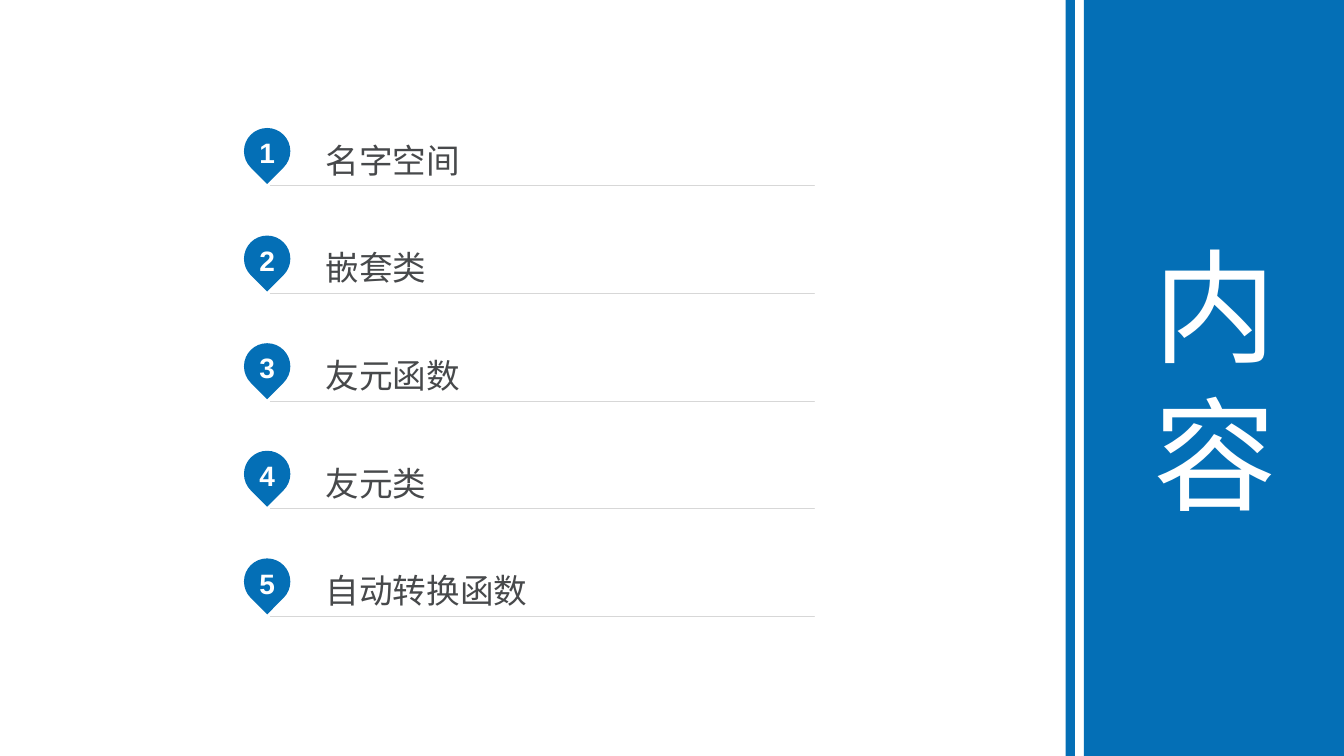
import math

import pptx
import pptx.dml.color
import pptx.enum.shapes
import pptx.enum.text
import pptx.oxml.ns
import pptx.util

Inches = pptx.util.Inches
Pt = pptx.util.Pt
ALIGN = pptx.enum.text.PP_ALIGN
qn = pptx.oxml.ns.qn

COLORS = {"blue": "046FB6", "rule": "D7D7D7", "text": "47494B", "white": "FFFFFF"}
FONT = "Arial"
TOPICS = ["名字空间", "嵌套类", "友元函数", "友元类", "自动转换函数"]


def rgb(name):
    return pptx.dml.color.RGBColor.from_string(COLORS[name])


def paint(shape):
    shape.fill.solid()
    shape.fill.fore_color.rgb = rgb("blue")
    shape.line.fill.background()


def write(shape, text, size, color, align, insets, bold=False):
    frame = shape.text_frame
    frame.word_wrap = True
    frame.auto_size = pptx.enum.text.MSO_AUTO_SIZE.NONE
    frame.vertical_anchor = pptx.enum.text.MSO_ANCHOR.MIDDLE
    left, top, right, bottom = insets
    frame.margin_left, frame.margin_top = Inches(left), Inches(top)
    frame.margin_right, frame.margin_bottom = Inches(right), Inches(bottom)
    para = frame.paragraphs[0]
    para.alignment = align
    run = para.add_run()
    run.text = text
    run.font.name = FONT
    run.font.size = Pt(size)
    run.font.bold = bold
    run.font.color.rgb = rgb(color)
    return para


def arc(start, end):
    """Two handles and the end point of a Bezier arc on the unit circle."""
    a, b = math.radians(start), math.radians(end)
    k = 4 / 3 * math.tan((b - a) / 4)
    return [(math.cos(a) - k * math.sin(a), math.sin(a) + k * math.cos(a)),
            (math.cos(b) + k * math.sin(b), math.sin(b) - k * math.cos(b)),
            (math.cos(b), math.sin(b))]


def bend(shape, starts):
    """Turn three line segments from each start into one curve."""
    lines = list(shape._element.iter(qn("a:lnTo")))
    for start in starts:
        group = lines[start:start + 3]
        curve = group[0].makeelement(qn("a:cubicBezTo"))
        group[0].addprevious(curve)
        for line in group:
            curve.append(line[0])
            line.getparent().remove(line)


def add_pin(slide, left, top, radius, label):
    """Round marker whose lower sides meet in a right-angled tip."""
    side = math.sqrt(0.5)
    right_half = arc(270, 360) + arc(360, 405)
    left_half = arc(135, 180) + arc(180, 270)
    points = right_half + [(0, 2 * side), (-side, side)] + left_half
    outline = slide.shapes.build_freeform(Inches(left + radius), Inches(top))
    outline.add_line_segments(
        [(Inches(left + radius + radius * x), Inches(top + radius + radius * y))
         for x, y in points], close=True)
    pin = outline.convert_to_shape()
    bend(pin, (0, 3, 8, 11))
    pin.shadow.inherit = False
    paint(pin)
    write(pin, label, 20, "white", ALIGN.CENTER, (0.1, 0.05, 0.1, 0.12), bold=True)


def add_topic(slide, left, top, width, height, topic):
    """Topic whose box shows only its bottom edge."""
    x, y = Inches(left), Inches(top)
    right, base = Inches(left + width), Inches(top + height)
    outline = slide.shapes.build_freeform(x, base)
    outline.add_line_segments([(right, base), (x, base)], close=True)
    # A point in the top corner gives the box its height
    outline.move_to(x, y)
    outline.add_line_segments([(x, y), (x, y)], close=True)
    box = outline.convert_to_shape()
    box.shadow.inherit = False
    box.fill.background()
    box.line.color.rgb = rgb("rule")
    box.line.width = Pt(0.25)
    para = write(box, topic, 24, "text", ALIGN.LEFT, (0.55, 0, 0, 0.04))
    para.line_spacing = 1.2


def add_topics(slide, left, top, width, height):
    """Numbered topics, spread evenly over the height of the box."""
    row, drop, indent = 0.57, 0.02, 0.26
    pitch = (height - row) / (len(TOPICS) - 1)
    for i, topic in enumerate(TOPICS):
        y = top + i * pitch
        add_pin(slide, left, y, 0.23, str(i + 1))
        add_topic(slide, left + indent, y + drop, width - indent, row - drop, topic)


def add_panel(slide, left, top, width, height):
    """Side panel that carries the title, with a thin stripe before it."""
    title = slide.shapes.title
    title.left, title.top = Inches(left), Inches(top)
    title.width, title.height = Inches(width), Inches(height)
    paint(title)
    write(title, "内容", 88, "white", ALIGN.CENTER, (0.1, 0.05, 0.1, 0.05))
    rise = 0.02
    stripe = slide.shapes.add_shape(
        pptx.enum.shapes.MSO_SHAPE.RECTANGLE, Inches(left - 0.18),
        Inches(top - rise), Inches(0.09), Inches(height + rise))
    stripe.shadow.inherit = False
    paint(stripe)


def main():
    deck = pptx.Presentation()
    deck.slide_width, deck.slide_height = Inches(13.33), Inches(7.5)
    slide = deck.slides.add_slide(deck.slide_layouts.get_by_name("Title Only"))
    add_topics(slide, 2.42, 1.27, 5.66, 4.84)
    add_panel(slide, 10.75, 0, 2.6, 7.5)
    deck.save("out.pptx")


if __name__ == "__main__":
    main()
